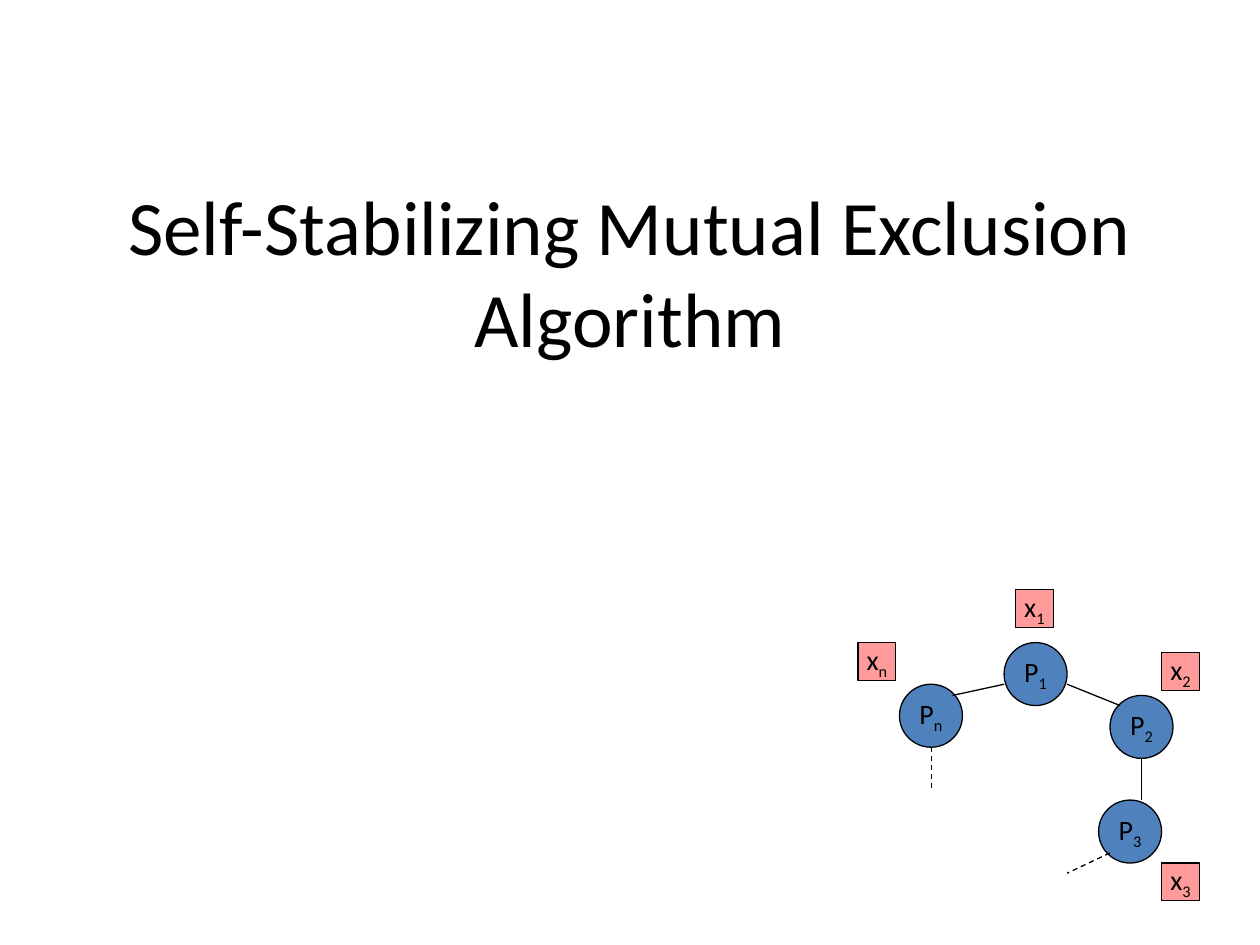
from pptx import Presentation
from pptx.util import Pt
from pptx.dml.color import RGBColor
from pptx.enum import dml, shapes, text
from pptx.oxml.ns import qn
from lxml import etree

TITLE = "Self-Stabilizing Mutual Exclusion Algorithm"
FONT = "Calibri"
HUES = {"ink": "000000", "node": "4F81BD", "value": "FF9B9B"}
KINDS = {
    "P": (shapes.MSO_SHAPE.OVAL, 36, "node"),
    "x": (shapes.MSO_SHAPE.RECTANGLE, 21.6, "value"),
}
MARKS = [
    ("P", "1", 573.8, 367.2),
    ("P", "n", 514, 391),
    ("P", "3", 627.8, 457.2),
    ("P", "2", 634.3, 397.4),
    ("x", "1", 580.3, 337),
    ("x", "2", 663.8, 373),
    ("x", "3", 663.8, 493.2),
    ("x", "n", 490.3, 367.2),
]
LINKS = [
    (544.3, 397.4, 573.8, 391, False),
    (609.8, 391, 640.1, 403.2, False),
    (652.3, 433.4, 652.3, 457.2, False),
    (634.3, 487.4, 609.8, 499, True),
    (532.1, 427, 532.1, 451.4, True),
]


def hue(name):
    return RGBColor.from_string(HUES[name])


def style(run, size):
    run.font.name = FONT
    run.font.size = Pt(size)
    run.font.color.rgb = hue("ink")


def ink(line):
    line.color.rgb = hue("ink")
    line.width = Pt(0.75)


def add_mark(slide, name, sub, left, top):
    form, size, fill = KINDS[name]
    mark = slide.shapes.add_shape(form, Pt(left), Pt(top), Pt(size), Pt(size))
    mark.shadow.inherit = False
    mark.fill.solid()
    mark.fill.fore_color.rgb = hue(fill)
    ink(mark.line)
    frame = mark.text_frame
    frame.word_wrap = False
    frame.vertical_anchor = text.MSO_ANCHOR.MIDDLE
    para = frame.paragraphs[0]
    para.alignment = text.PP_ALIGN.CENTER
    for part in (name, sub):
        run = para.add_run()
        run.text = part
        style(run, 16)
    run.font._element.set("baseline", "-25000")


def add_link(slide, x1, y1, x2, y2, dashed):
    link = slide.shapes.add_connector(
        shapes.MSO_CONNECTOR.STRAIGHT, Pt(x1), Pt(y1), Pt(x2), Pt(y2))
    ink(link.line)
    if dashed:
        link.line.dash_style = dml.MSO_LINE.DASH
    etree.SubElement(link._element.spPr, qn("a:effectLst"))


def main():
    deck = Presentation()
    deck.slide_width, deck.slide_height = Pt(720), Pt(540)
    slide = deck.slides.add_slide(deck.slide_layouts[5])
    title = slide.shapes.title
    title.left, title.top = Pt(36), Pt(21.6)
    title.width, title.height = Pt(648), Pt(266.4)
    frame = title.text_frame
    frame.text = TITLE
    frame.word_wrap = True
    frame.vertical_anchor = text.MSO_ANCHOR.MIDDLE
    para = frame.paragraphs[0]
    para.alignment = text.PP_ALIGN.CENTER
    style(para.runs[0], 44)
    for mark in MARKS:
        add_mark(slide, *mark)
    for link in LINKS:
        add_link(slide, *link)
    deck.save("out.pptx")


if __name__ == "__main__":
    main()
